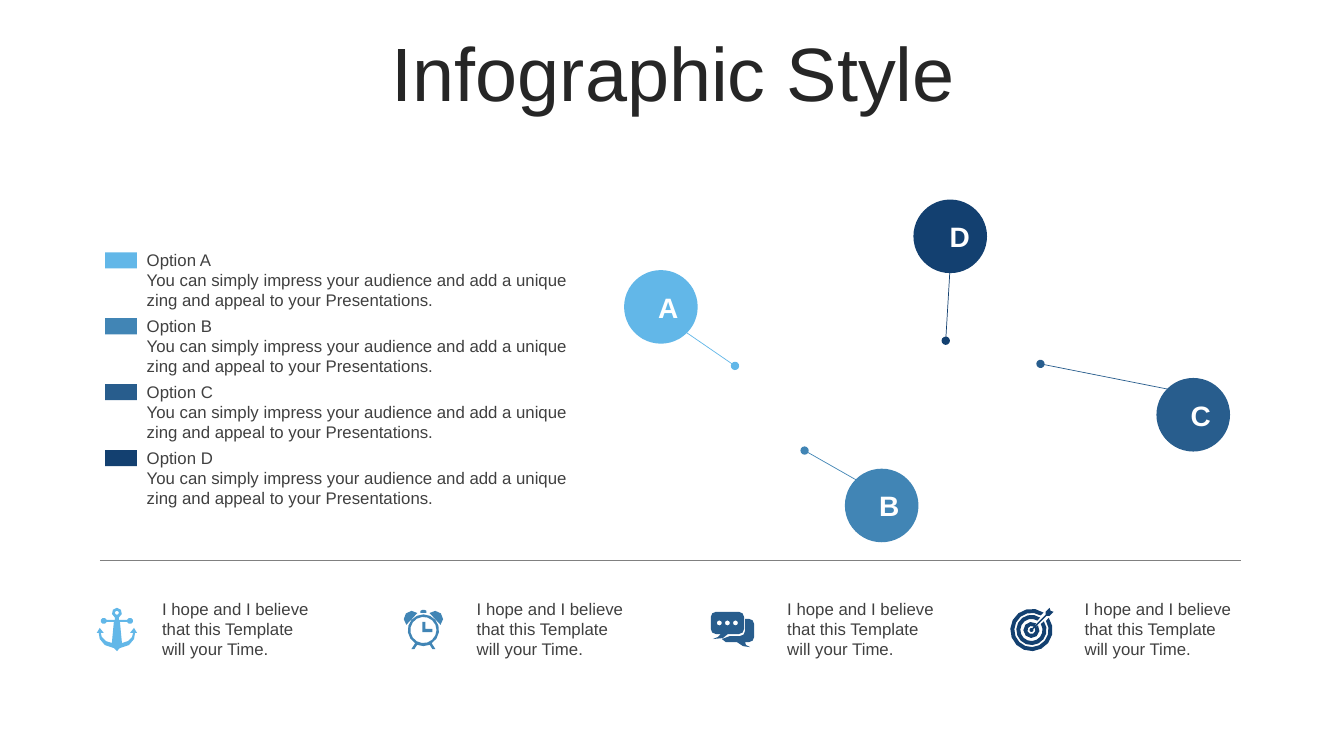
from math import cos, radians, sin

from lxml.etree import SubElement
from pptx import Presentation
from pptx.dml.color import RGBColor
from pptx.enum.shapes import MSO_CONNECTOR, MSO_SHAPE
from pptx.enum.text import MSO_ANCHOR, MSO_AUTO_SIZE, PP_ALIGN
from pptx.oxml.ns import qn
from pptx.util import Pt

PX = 9144  # 100 px to the inch
HEX = {
    "A": "62B7E8", "B": "4185B5", "C": "285D8D", "D": "134070",
    "title": "262626", "text": "404040", "rule": "808080", "white": "FFFFFF",
}
TITLE = "Infographic Style"
PITCH = "You can simply impress your audience and add a unique zing and appeal to your Presentations."
HOPE = "I hope and I believe that this Template will your Time."
FIRST, STEP = 242.6, 65.4  # top of the first option, distance to the next
DISC = 73

# key: disc corner, letter box (left, top, width), pin start, pin end, caption left
MARKS = {
    "A": ((619, 268), (643, 283, 27), (681, 330), (729, 363), 151),
    "B": ((838, 465), (862, 480, 27), (849, 476), (798, 447), 463),
    "C": ((1147, 375), (1171, 390, 27), (1158, 386), (1032, 361), 771),
    "D": ((906, 198), (932, 213, 21), (942, 271), (938, 338), 1066),
}


def ring(x, y, big, small):
    """A ring that is open towards the upper right."""
    return [(x, y, big, -35, 305), (x, y, small, 302, -32)]


# An icon is a list of outlines; an outline holds points (x, y)
# and arcs (centre x, centre y, radius, from angle, to angle).
ANCHOR_HALF = [
    (116, 608, 5, -90, 65), (118, 613), (118, 615), (126, 615),
    (129, 616, 3, 200, 520), (126, 617), (119, 617), (121, 638),
    (127, 636), (131, 632), (132, 628), (129, 628), (133, 623), (136, 628),
    (134, 628), (133, 634), (128, 640), (119, 643), (116, 646),
]
CLOCK = [
    [(420, 625, 15.5, 122, 418), (432, 644), (429, 644),
     (420, 625, 16, 67, 113), (411, 644), (408, 644)],
    [(420, 625, 13, 0, 360)],
    [(419, 617), (422, 617), (422, 624), (429, 624), (429, 627), (419, 627)],
    [(408.5, 614, 8, 133, 313)],
    [(431.5, 614, 8, 227, 407)],
    [(417, 608), (417, 606), (419, 605), (421, 605), (423, 606), (423, 608)],
]
CHAT = [[(x, 618, 2.5, 0, 360)] for x in (713.5, 721.5, 729.5)] + [
    [(739, 614), (743, 619, 5, -90, 0), (743, 632, 5, 0, 90), (739, 637),
     (740, 640), (744, 642), (737, 641), (731, 637), (720, 637), (716, 634),
     (724, 631), (734, 626, 5, 90, 0)],
    [(710, 612, 5, 180, 270), (733, 612, 5, 270, 360), (733, 624, 5, 0, 90),
     (722, 629), (717, 633), (707, 634), (712, 632), (715, 629),
     (710, 624, 5, 90, 180)],
]
TARGET = [ring(1023, 625, *pair) for pair in ((21, 17), (15, 11), (8, 4))] + [
    [(1041, 603), (1042, 606), (1045, 607), (1041, 611), (1038, 611),
     (1025, 624), (1023, 625, 2, -20, 290), (1024, 623), (1037, 610), (1037, 607)],
]


def trace(outline):
    """Turn points and arcs into plain points."""
    points = []
    for item in outline:
        if len(item) == 2:
            points.append(item)
            continue
        x, y, r, start, end = item
        sweep = end - start
        count = max(2, round(abs(sweep) / (24 if r > 9 else 45)))
        whole = abs(sweep) == 360
        for i in range(count if whole else count + 1):
            turn = radians(start + sweep * i / count)
            points.append((x + r * cos(turn), y + r * sin(turn)))
    return points


def mirror(points, axis):
    """Close half an outline with its reflection."""
    return points + [(2 * axis - x, y) for x, y in points[-2:0:-1]]


def rgb(key):
    return RGBColor.from_string(HEX[key])


def emu(*lengths):
    return [round(n * PX) for n in lengths]


def paint(shape, key):
    shape.shadow.inherit = False
    shape.fill.solid()
    shape.fill.fore_color.rgb = rgb(key)
    shape.line.fill.background()


def style(para, size, key, bold=False):
    for run in para.runs:
        font = run.font
        font.name, font.size, font.bold = "Arial", Pt(size), bold
        font.color.rgb = rgb(key)


def write(shapes, box, text, size, key, bold=False, align=PP_ALIGN.LEFT):
    frame = shapes.add_textbox(*emu(*box)).text_frame
    frame.word_wrap = True
    frame.auto_size = MSO_AUTO_SIZE.SHAPE_TO_FIT_TEXT
    frame.text = text
    for para in frame.paragraphs:
        para.alignment = align
        style(para, size, key, bold)


def rule(shapes, start, end, key, dot=False):
    line = shapes.add_connector(MSO_CONNECTOR.STRAIGHT, *emu(*start, *end))
    line.line.color.rgb = rgb(key)
    line.line.width = Pt(0.5)
    if dot:
        SubElement(line.line._get_or_add_ln(), qn("a:tailEnd"), type="oval")
    SubElement(line._element.spPr, qn("a:effectLst"))


def draw(shapes, outlines, key):
    """Draw one icon from lists of points."""
    paths = [[emu(*point) for point in points] for points in outlines]
    pen = shapes.build_freeform(*paths[0][0], scale=1.0)
    for i, points in enumerate(paths):
        if i:
            pen.move_to(*points[0])
        pen.add_line_segments(points[1:], close=True)
    paint(pen.convert_to_shape(), key)


def main():
    deck = Presentation()
    deck.slide_width, deck.slide_height = emu(1333, 750)
    slide = deck.slides.add_slide(deck.slide_layouts[5])
    shapes = slide.shapes

    title = shapes.title
    title.left, title.top, title.width, title.height = emu(35, 37, 1266, 79)
    frame = title.text_frame
    frame.text = TITLE
    frame.auto_size = MSO_AUTO_SIZE.NONE
    frame.vertical_anchor = MSO_ANCHOR.MIDDLE
    head = frame.paragraphs[0]
    head.alignment, head.line_spacing = PP_ALIGN.CENTER, 0.9
    style(head, 54, "title")

    rule(shapes, (99, 556), (1231, 556), "rule")
    for i, (key, (disc, letter, start, end, left)) in enumerate(MARKS.items()):
        top = FIRST + i * STEP
        swatch = shapes.add_shape(MSO_SHAPE.RECTANGLE, *emu(104.4, top + 7.7, 31.4, 16))
        paint(swatch, key)
        write(shapes, (135.7, top, 440, 71), f"Option {key}\n{PITCH}", 12, "text")

        paint(shapes.add_shape(MSO_SHAPE.OVAL, *emu(*disc, DISC, DISC)), key)
        rule(shapes, start, end, key, dot=True)
        write(shapes, (*letter, 44), key, 20, "white", True, PP_ALIGN.CENTER)
        write(shapes, (left, 589, 173, 71), HOPE, 12, "text")

    anchor = [mirror(trace(ANCHOR_HALF), 116), trace([(116, 608, 2, 0, 360)])]
    draw(shapes, anchor, "A")
    for key, icon in (("B", CLOCK), ("C", CHAT), ("D", TARGET)):
        draw(shapes, [trace(outline) for outline in icon], key)
    deck.save("out.pptx")


if __name__ == "__main__":
    main()
